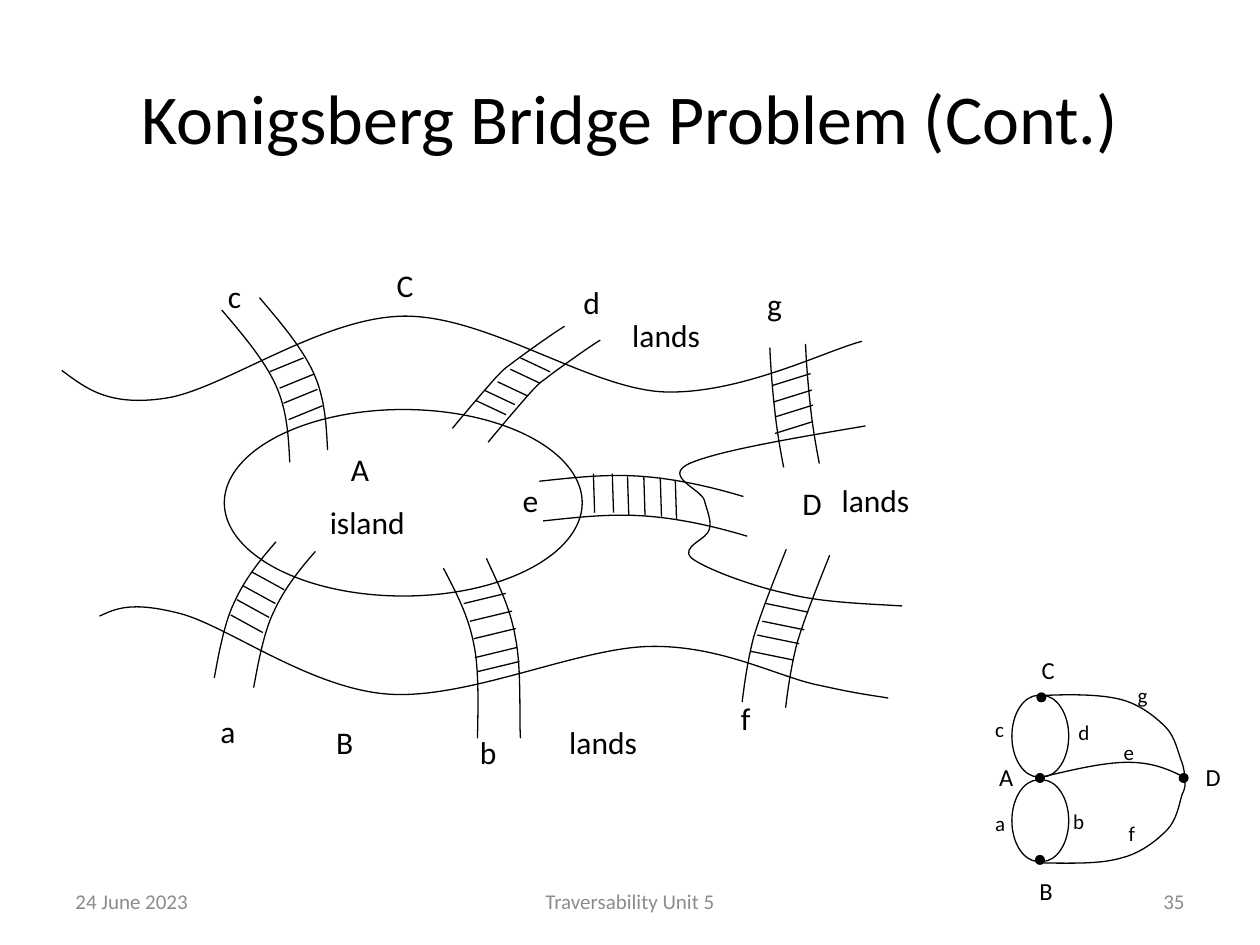
from lxml import etree
from pptx import Presentation
from pptx.dml.color import RGBColor
from pptx.enum.shapes import MSO_CONNECTOR, MSO_SHAPE
from pptx.enum.text import MSO_ANCHOR, PP_ALIGN
from pptx.oxml.ns import qn
from pptx.util import Pt

LINE, OVAL = MSO_CONNECTOR.STRAIGHT, MSO_SHAPE.OVAL
TOP, MID = MSO_ANCHOR.TOP, MSO_ANCHOR.MIDDLE
LEFT, MIDDLE, RIGHT = PP_ALIGN.LEFT, PP_ALIGN.CENTER, PP_ALIGN.RIGHT
FONT = "Calibri"
HEX = {"ink": "000000", "gray": "8C8C8C"}
THIN = 0.75
ARC = 0.55  # control length of a quarter ellipse

# Each curve is a start point, then two controls and an end per piece
BANKS = [
    [(35.3, 211.7), (49, 221.8), (61.9, 232.6), (95, 227.5), (127.4, 222.5),
     (183.6, 181.4), (230.4, 180.7), (277.9, 180), (334.8, 221),
     (378, 223.9), (421.9, 226.1), (472.3, 200.2), (492.5, 195.1)],
    [(494.6, 243.4), (452.2, 250.6), (409.7, 257.8), (393.8, 265),
     (378.7, 272.2), (400.3, 279.4), (402.5, 285.8), (403.9, 291.6),
     (406.8, 297.4), (405.4, 302.4), (404.6, 308.2), (388.1, 312.5),
     (395.3, 319), (402.5, 324.7), (429.1, 334.8), (449.3, 339.1),
     (468.7, 344.2), (492.5, 344.9), (515.5, 346.3)],
    [(507.6, 398.9), (499, 397.4), (491, 396.7), (468.7, 391.7),
     (445.7, 387.4), (412.6, 368.6), (371.5, 369.4), (330.5, 370.1),
     (267.8, 399.6), (222.5, 396.7), (177.8, 393.8), (130.3, 357.8),
     (103, 350.6), (74.9, 343.4), (66.2, 347.8), (56.9, 352.1)],
]
EDGES = [
    [(596.2, 397.4), (612, 396.7), (628.6, 396.7), (640.1, 399.6),
     (651.6, 402.5), (660.2, 409.7), (666, 415.4), (671.8, 421.2),
     (673.2, 430.6), (675.4, 435.6), (676.8, 439.9), (676.8, 442.1),
     (676.8, 443.5)],
    [(596.2, 493.2), (612.7, 493.2), (628.6, 493.9), (640.8, 490.3),
     (652.3, 487.4), (661, 480.2), (666.7, 474.5), (672.5, 468.7),
     (673.9, 459.4), (675.4, 454.3), (677.5, 450), (677.5, 447.8),
     (676.8, 446.4)],
    [(594.7, 444.2), (612.7, 439.9), (630.7, 435.6), (644.4, 435.6),
     (658.1, 435.6), (666.7, 439.2), (675.4, 443.5)],
]
# Bridges: first rail, shift to the second rail, rung starts, rung span
SPANS = [
    ([(157.7, 309.6), (148.3, 320.4), (139.7, 331.2), (133.9, 344.2),
      (127.4, 357.1), (123.8, 380.9), (122.4, 387.4)], (22.5, 5.5),
     [(144, 326.9), (139, 334.8), (135.4, 342.7), (131.8, 351.4)],
     (18.4, 10.1)),
    ([(308.2, 275), (327.6, 272.9), (347, 270.7), (366.5, 272.2),
      (385.9, 273.6), (405.4, 277.9), (424.8, 283.7)], (2.2, 22.7),
     [(339.1, 270.7), (349.9, 270.7), (358.6, 272.2), (367.9, 272.2),
      (377.3, 272.9), (385.9, 274.3)], (0.7, 22.3)),
    ([(449.3, 313.9), (442.1, 331.9), (434.9, 349.9), (430.6, 364.3),
      (427, 378.7), (425.5, 390.2), (424.1, 401)], (24.8, 3.4),
     [(437.8, 344.9), (435.6, 355), (432.7, 362.9), (429.1, 372.2)],
     (24, 4.9)),
    ([(126.7, 177.1), (139, 191.5), (151.2, 205.9), (157.7, 220.3),
      (164.2, 234.7), (164.9, 249.8), (165.6, 264.2)], (21.6, -7),
     [(154.1, 212.4), (159.8, 221.8), (162, 230.4), (164.9, 239.8)],
     (19.4, -7.9)),
    ([(258.5, 244.8), (268.6, 232.6), (278.6, 221), (284.4, 214.6),
      (290.2, 208.8), (287.3, 211.7), (293.8, 206.6), (299.5, 202.3),
      (317.5, 189.4), (322.6, 186.5)], (20.4, 7.9),
     [(297.4, 204.5), (291.6, 211), (284.4, 218.2), (277.2, 223.2),
      (272.2, 229)], (17, 8)),
    ([(439.9, 198.7), (440.6, 214.6), (442.1, 229.7), (443.5, 241.2),
      (445, 252.7), (447.1, 263.5), (447.8, 267.1)], (20.4, -2.2),
     [(441.4, 220.3), (442.1, 229.7), (442.8, 238.3), (442.8, 247.7)],
     (21.8, -6.8)),
]
# Bridge b has rails that end level, so both are given
B_RAILS = [
    [(253.4, 324.7), (260.6, 338.4), (267.8, 352.1), (270.7, 367.9),
     (274.3, 383.8), (272.9, 413.3), (272.9, 421.9)],
    [(277.9, 319), (284.4, 333.4), (291.6, 347), (294.5, 364.3),
     (298.1, 381.6), (296.6, 411.8), (297.4, 421.9)],
]
B_RUNGS = [(265, 344.9), (268.6, 355), (270.7, 365), (271.4, 375.8),
           (272.9, 383.8)]
DOTS = [(592.6, 396), (591.8, 442.1), (591.8, 488.9), (673.9, 442.1)]

# Labels by size: width, height, then text and place
LABELS = {
    18: (38, 31, [
        ("a", 118.8, 403.2), ("b", 267.1, 415.4), ("c", 123.1, 154.8),
        ("d", 326.2, 158.4), ("g", 431.3, 159.1), ("f", 416.2, 396),
        ("e", 291.6, 271.4), ("C", 219.6, 148.3), ("D", 451.4, 272.9),
        ("B", 185, 409.7)]),
    12: (15.8, 21.6, [
        ("a", 561.6, 459.4), ("b", 606.2, 458.6), ("c", 561.6, 406.1),
        ("d", 609.1, 407.5), ("g", 643, 386.6), ("e", 635, 419),
        ("f", 637.9, 465.1)]),
    14: (15.8, 23.8, [
        ("A", 563.8, 432), ("B", 586.8, 496.8), ("C", 588.2, 370.8),
        ("D", 681.8, 432)]),
}
LANDS = [(318.2, 409.5), (473.8, 271.4), (354.2, 177)]
FOOT = [("24 June 2023", 36, 168, LEFT),
        ("Traversability Unit 5", 246, 228, MIDDLE),
        ("35", 516, 168, RIGHT)]


def color(name):
    return RGBColor.from_string(HEX[name])


def pen(shape):
    shape.line.color.rgb = color("ink")
    shape.line.width = Pt(THIN)


def style(frame, size, ink="ink", align=LEFT, anchor=TOP):
    frame.word_wrap = True
    frame.vertical_anchor = anchor
    for para in frame.paragraphs:
        para.alignment = align
        for run in para.runs:
            run.font.name, run.font.size = FONT, Pt(size)
            run.font.color.rgb = color(ink)


def label(slide, text, x, y, w, h, size, **look):
    box = slide.shapes.add_textbox(Pt(x), Pt(y), Pt(w), Pt(h))
    box.text_frame.text = text
    style(box.text_frame, size, **look)
    return box.text_frame


def curve(slide, points):
    ends = [(Pt(x), Pt(y)) for x, y in points]
    form = slide.shapes.build_freeform(*ends[0])
    form.add_line_segments(ends[1:], close=False)
    shape = form.convert_to_shape()
    shape.shadow.inherit = False
    shape.fill.background()
    pen(shape)
    # Join each three straight pieces into one Bezier piece
    steps = list(shape.element.iter(qn("a:lnTo")))
    for i in range(0, len(steps), 3):
        bend = etree.SubElement(steps[i].getparent(), qn("a:cubicBezTo"))
        for step in steps[i:i + 3]:
            bend.append(step[0])
            step.getparent().remove(step)


def oval(slide, x, y, w, h, solid=False):
    shape = slide.shapes.add_shape(OVAL, Pt(x), Pt(y), Pt(w), Pt(h))
    shape.shadow.inherit = False
    if solid:
        shape.fill.solid()
        shape.fill.fore_color.rgb = color("ink")
    else:
        shape.fill.background()
    pen(shape)


def bridge(slide, rails, rungs, span):
    for rail in rails:
        curve(slide, rail)
    for x, y in rungs:
        rung = slide.shapes.add_connector(
            LINE, Pt(x), Pt(y), Pt(x + span[0]), Pt(y + span[1]))
        pen(rung)
        etree.SubElement(rung.element.spPr, qn("a:effectLst"))


def half(slide, x, y, w, h):
    """Draw half an ellipse that bulges by w and is 2h tall."""
    curve(slide, [(x, y), (x + w * ARC, y), (x + w, y + h * (1 - ARC)),
                  (x + w, y + h), (x + w, y + h * (1 + ARC)),
                  (x + w * ARC, y + 2 * h), (x, y + 2 * h)])


def main():
    deck = Presentation()
    deck.slide_width, deck.slide_height = Pt(720), Pt(540)
    slide = deck.slides.add_slide(deck.slide_layouts[5])

    # Title
    title = slide.shapes.title
    title.left, title.top = Pt(36), Pt(21.6)
    title.width, title.height = Pt(648), Pt(90)
    title.text_frame.text = "Konigsberg Bridge Problem (Cont.)"
    style(title.text_frame, 40, align=MIDDLE, anchor=MID)

    # River and island
    for bank in BANKS:
        curve(slide, bank)
    oval(slide, 128.2, 234, 204.5, 106.6)
    frame = label(slide, "A\nisland", 181.4, 253.4, 112.3, 94.3, 18)
    first, last = frame.paragraphs
    first._p.get_or_add_pPr().set("marL", str(Pt(12)))
    last.space_before = Pt(9)

    # Bridges
    for rail, (dx, dy), rungs, span in SPANS:
        twin = [(x + dx, y + dy) for x, y in rail]
        bridge(slide, [rail, twin], rungs, span)
    bridge(slide, B_RAILS, B_RUNGS, (24, -5.8))

    # Graph
    for y in (397.4, 445.7):
        half(slide, 593.3, y, -15.1, 23.3)
        half(slide, 595.6, y, 15.1, 23.3)
    for edge in EDGES:
        curve(slide, edge)
    for x, y in DOTS:
        oval(slide, x, y, 5, 5, solid=True)

    # Labels
    for size, (w, h, marks) in LABELS.items():
        for text, x, y in marks:
            label(slide, text, x, y, w, h, size)
    for x, y in LANDS:
        label(slide, "lands", x, y, 77.8, 31, 18)

    # Footer
    for text, x, w, align in FOOT:
        label(slide, text, x, 500.4, w, 28.8, 12,
              ink="gray", align=align, anchor=MID)

    deck.save("out.pptx")


if __name__ == "__main__":
    main()
